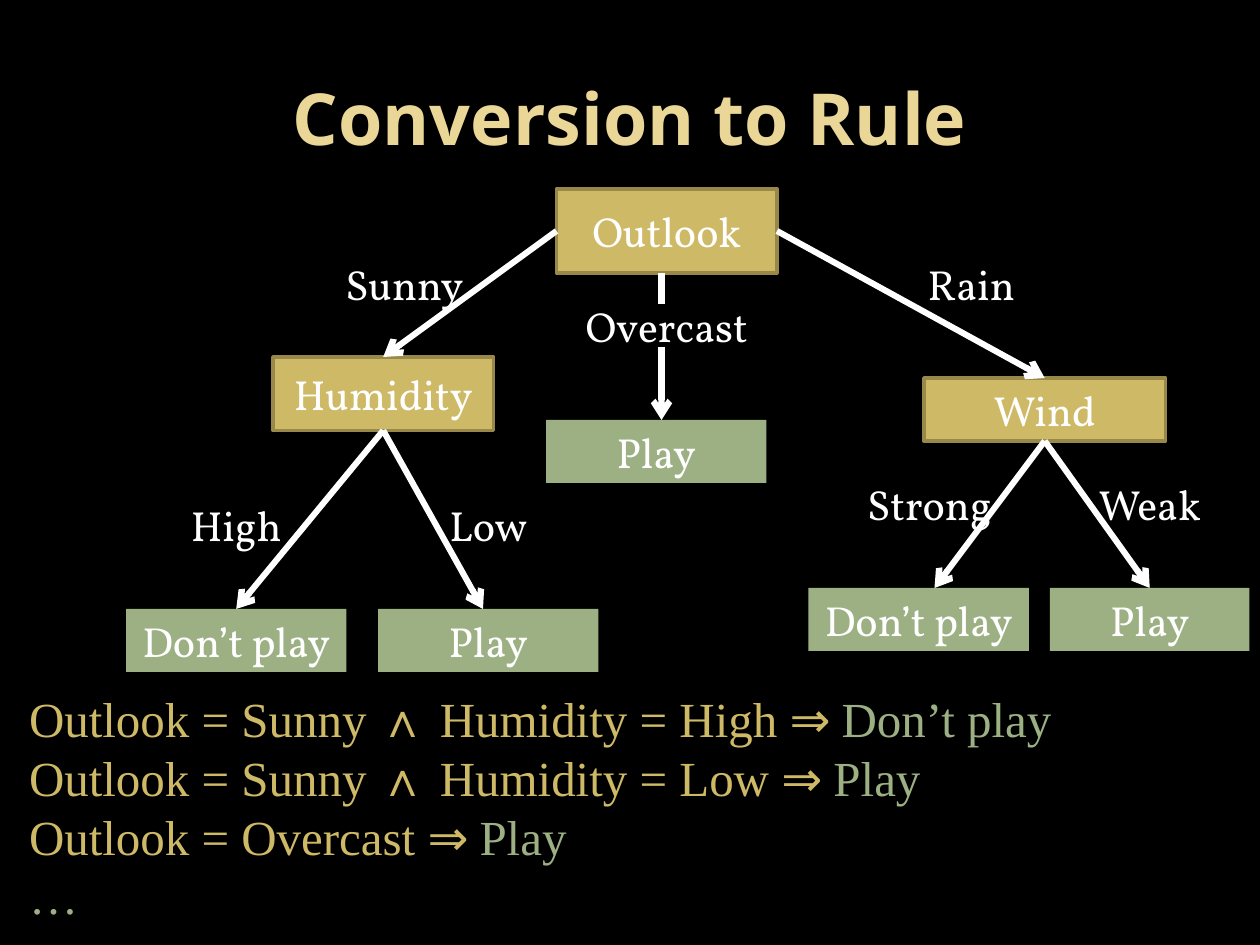
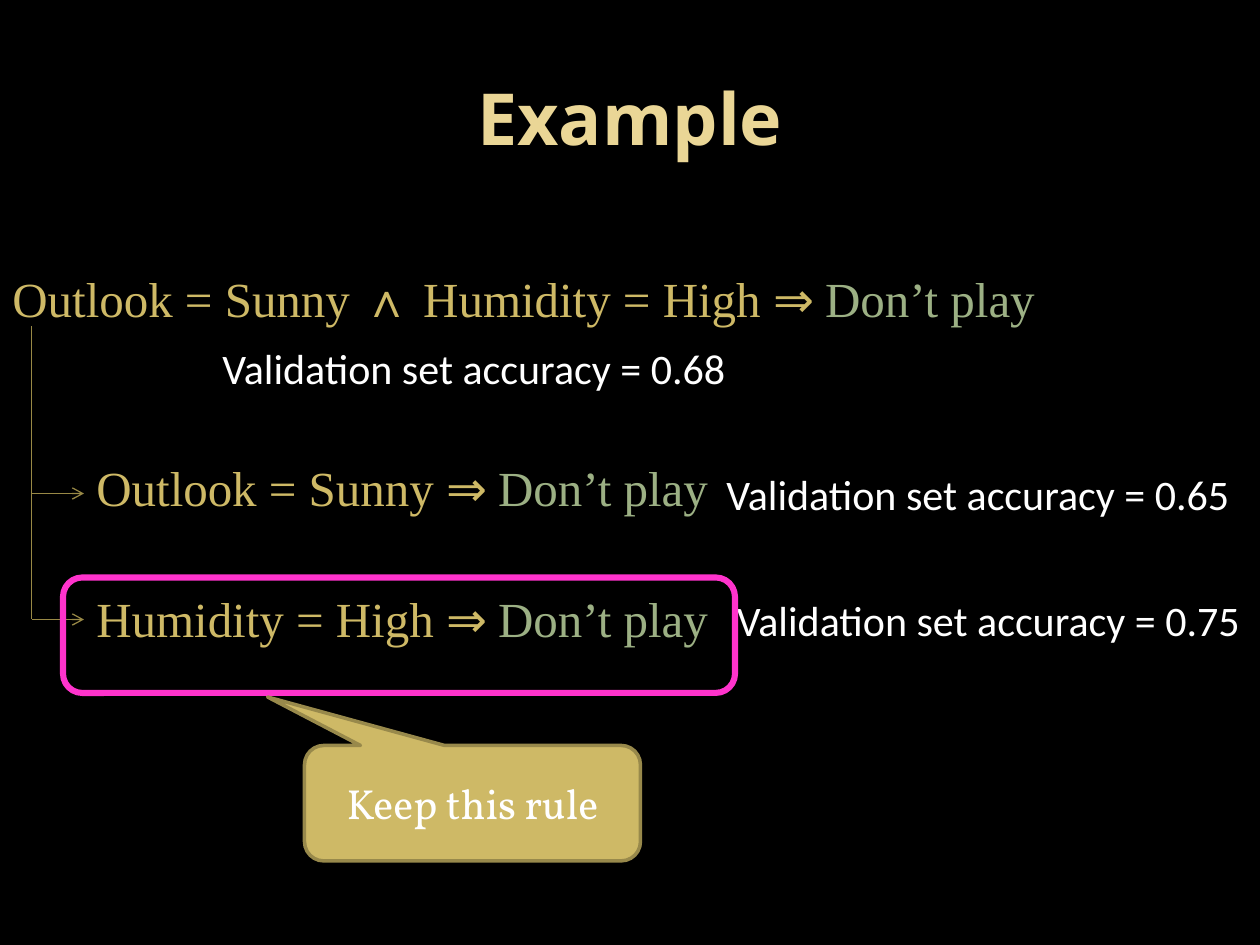
from dataclasses import dataclass

from lxml import etree
from pptx import Presentation
from pptx.dml.color import RGBColor
from pptx.enum import shapes, text
from pptx.oxml import ns
from pptx.util import Pt


@dataclass(frozen=True)
class Theme:
    back: str = "000000"
    title: str = "EAD696"
    gold: str = "CEB966"
    gold_edge: str = "98894B"
    bracket: str = "998946"
    green: str = "9CB084"
    white: str = "FFFFFF"
    highlight: str = "FF33CC"
    title_font: str = "Noto Sans"
    tree_font: str = "Vollkorn"
    rule_font: str = "Times New Roman"
    plain_font: str = "Calibri"
    title_size: float = 41
    rule_size: float = 28
    body_size: float = 24
    thick: float = 3.5
    edge: float = 2
    thin: float = 0.75


T = Theme()
RECT = shapes.MSO_SHAPE.RECTANGLE
TOP, LEFT, BOTTOM, RIGHT = range(4)


def rgb(color):
    return RGBColor.from_string(color)


def style(font, name, size, color, bold=False):
    font.name = name
    font.size = Pt(size)
    font.bold = bold
    font.color.rgb = rgb(color)


def write(sp, words, name=T.tree_font, size=T.body_size, color=T.white,
          bold=False, align=text.PP_ALIGN.CENTER, anchor=text.MSO_ANCHOR.MIDDLE):
    tf = sp.text_frame
    tf.word_wrap = True
    tf.vertical_anchor = anchor
    p = tf.paragraphs[0]
    p.text = words
    p.alignment = align
    style(p.font, name, size, color, bold)


def add_box(s, box, words="", kind=RECT, fill=T.gold, line=T.gold_edge, width=T.edge):
    sp = s.shapes.add_shape(kind, *map(Pt, box))
    sp.shadow.inherit = False
    if fill:
        sp.fill.solid()
        sp.fill.fore_color.rgb = rgb(fill)
    else:
        sp.fill.background()
    if line:
        sp.line.color.rgb = rgb(line)
        sp.line.width = Pt(width)
    else:
        sp.line.fill.background()
    if words:
        write(sp, words)
    return sp


def add_leaf(s, box, words):
    return add_box(s, box, words, fill=T.green, line=None)


def add_text(s, box, words, **look):
    write(s.shapes.add_textbox(*map(Pt, box)), words, **look)


def add_accuracy(s, box, value):
    add_text(s, box, f"Validation set accuracy = {value}", name=T.plain_font,
             align=text.PP_ALIGN.LEFT, anchor=text.MSO_ANCHOR.TOP)


def add_line(parent, start, end, color=T.white, width=T.thick, arrow=True):
    joins = [isinstance(e[0], (int, float)) for e in (start, end)]
    points = [e if free else (0, 0) for e, free in zip((start, end), joins)]
    c = parent.shapes.add_connector(
        shapes.MSO_CONNECTOR.STRAIGHT, *(Pt(v) for pt in points for v in pt))
    if not joins[0]:
        c.begin_connect(*start)
    if not joins[1]:
        c.end_connect(*end)
    c.line.color.rgb = rgb(color)
    c.line.width = Pt(width)
    if arrow:
        etree.SubElement(c.line._get_or_add_ln(), ns.qn("a:tailEnd"), type="arrow")
    etree.SubElement(c._element.spPr, ns.qn("a:effectLst"))


def add_rules(s, box, rules, more=""):
    tf = s.shapes.add_textbox(*map(Pt, box)).text_frame
    tf.word_wrap = True
    lines = [((f"{condition} ", T.rule_font, T.gold),
              ("⇒ ", T.plain_font, T.gold),
              (result, T.rule_font, T.green)) for condition, result in rules]
    if more:
        lines.append(((more, T.rule_font, T.green),))
    for i, line in enumerate(lines):
        p = tf.add_paragraph() if i else tf.paragraphs[0]
        for words, name, color in line:
            r = p.add_run()
            r.text = words
            style(r.font, name, T.rule_size, color)


def add_slide(prs, title):
    s = prs.slides.add_slide(prs.slide_layouts[6])
    s.background.fill.solid()
    s.background.fill.fore_color.rgb = rgb(T.back)
    add_text(s, (36, 21.5, 648, 90), title, name=T.title_font,
             size=T.title_size, color=T.title, bold=True)
    return s


def build_tree(s):
    outlook = add_box(s, (318, 108, 126, 48), "Outlook")
    humidity = add_box(s, (156, 204, 126, 42), "Humidity")
    wind = add_box(s, (528, 216, 138, 36), "Wind")
    high = add_leaf(s, (72, 348, 126, 36), "Don’t play")
    add_leaf(s, (216, 348, 126, 36), "Play")
    add_leaf(s, (312, 240, 126, 36), "Play")
    add_leaf(s, (462, 336, 126, 36), "Don’t play")
    weak = add_leaf(s, (600, 336, 114, 36), "Play")

    for start, end in (
        ((outlook, LEFT), (humidity, TOP)),
        ((outlook, RIGHT), (wind, TOP)),
        ((humidity, BOTTOM), (high, TOP)),
        ((humidity, BOTTOM), (276, 348)),
        ((wind, BOTTOM), (534, 336)),
        ((wind, BOTTOM), (weak, TOP)),
        ((378, 198), (378, 240)),
    ):
        add_line(s, start, end)
    add_line(s, (378, 156), (378, 174), arrow=False)

    for words, x, y, w in (
        ("Sunny", 186, 138, 90), ("Rain", 492, 138, 126), ("Overcast", 318, 162, 126),
        ("High", 72, 276, 126), ("Low", 216, 276, 126),
        ("Strong", 468, 264, 126), ("Weak", 594, 264, 126),
    ):
        add_text(s, (x, y, w, 48), words)


def build_pruning(s):
    for x, y, condition in (
        (0, 150, "Outlook = Sunny ∧ Humidity = High"),
        (48, 258, "Outlook = Sunny"),
        (48, 332.5, "Humidity = High"),
    ):
        add_rules(s, (x, y, 710.5, 75), [(condition, "Don’t play")])

    bracket = s.shapes.add_group_shape()
    for y in (354, 282):
        add_line(bracket, (18, y), (48, y), T.bracket, T.thin)
    add_line(bracket, (18, 186.5), (18, 354), T.bracket, T.thin, arrow=False)

    add_accuracy(s, (120, 192, 396, 36.5), "0.68")
    add_accuracy(s, (408, 264, 312, 36.5), "0.65")
    add_accuracy(s, (414, 336, 312, 36.5), "0.75")

    add_box(s, (36, 330, 384, 66), kind=shapes.MSO_SHAPE.ROUNDED_RECTANGLE,
            fill=None, line=T.highlight, width=T.thick)
    callout = add_box(s, (174, 426, 192, 66), "Keep this rule",
                      kind=shapes.MSO_SHAPE.ROUNDED_RECTANGULAR_CALLOUT)
    callout.adjustments[0] = -0.61
    callout.adjustments[1] = -0.92


def main():
    prs = Presentation()
    prs.slide_width, prs.slide_height = Pt(720), Pt(540)

    s = add_slide(prs, "Conversion to Rule")
    build_tree(s)
    add_rules(s, (9.5, 390, 710.5, 143.5), [
        ("Outlook = Sunny ∧ Humidity = High", "Don’t play"),
        ("Outlook = Sunny ∧ Humidity = Low", "Play"),
        ("Outlook = Overcast", "Play"),
    ], more="…")

    build_pruning(add_slide(prs, "Example"))
    prs.save("out.pptx")


if __name__ == "__main__":
    main()
